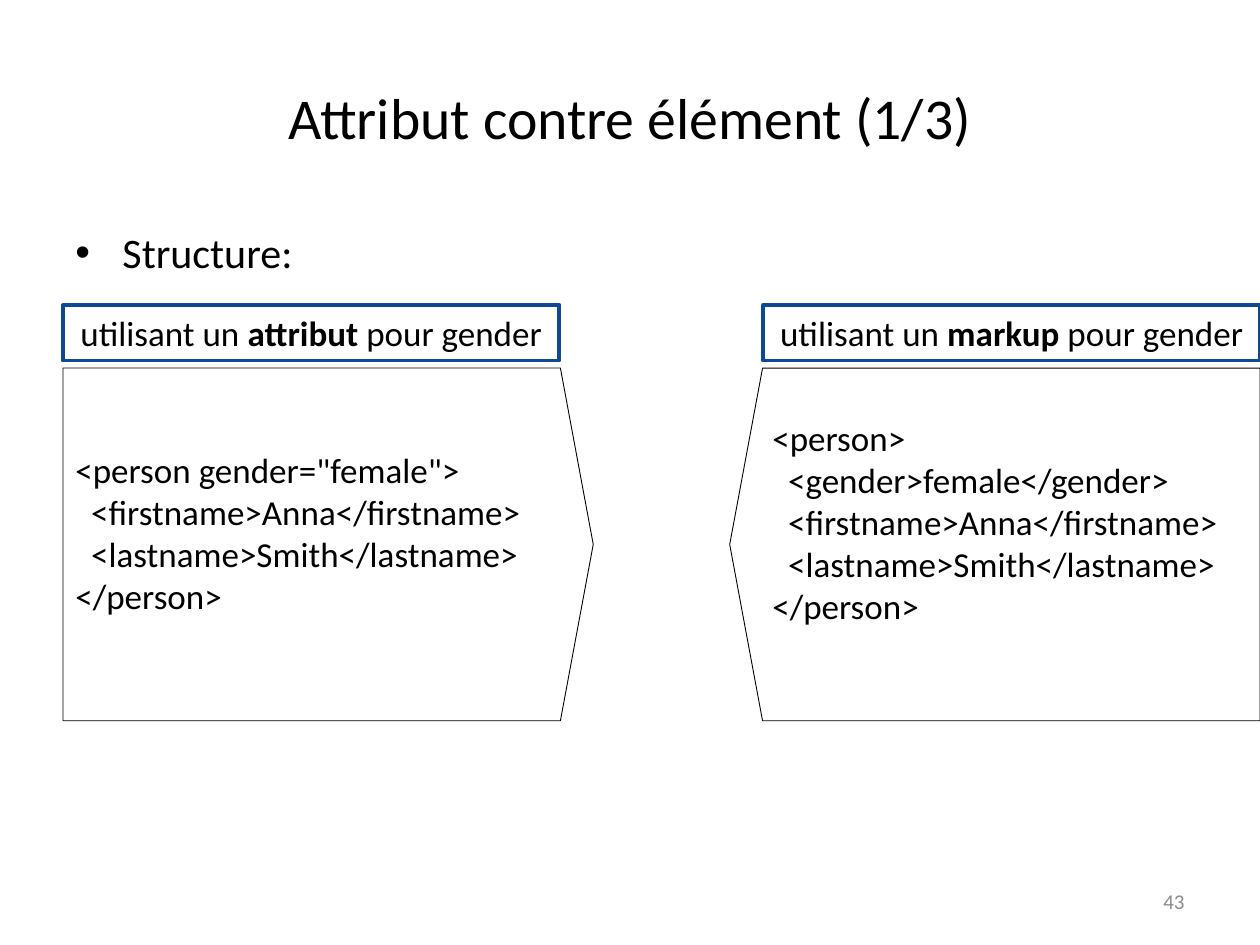
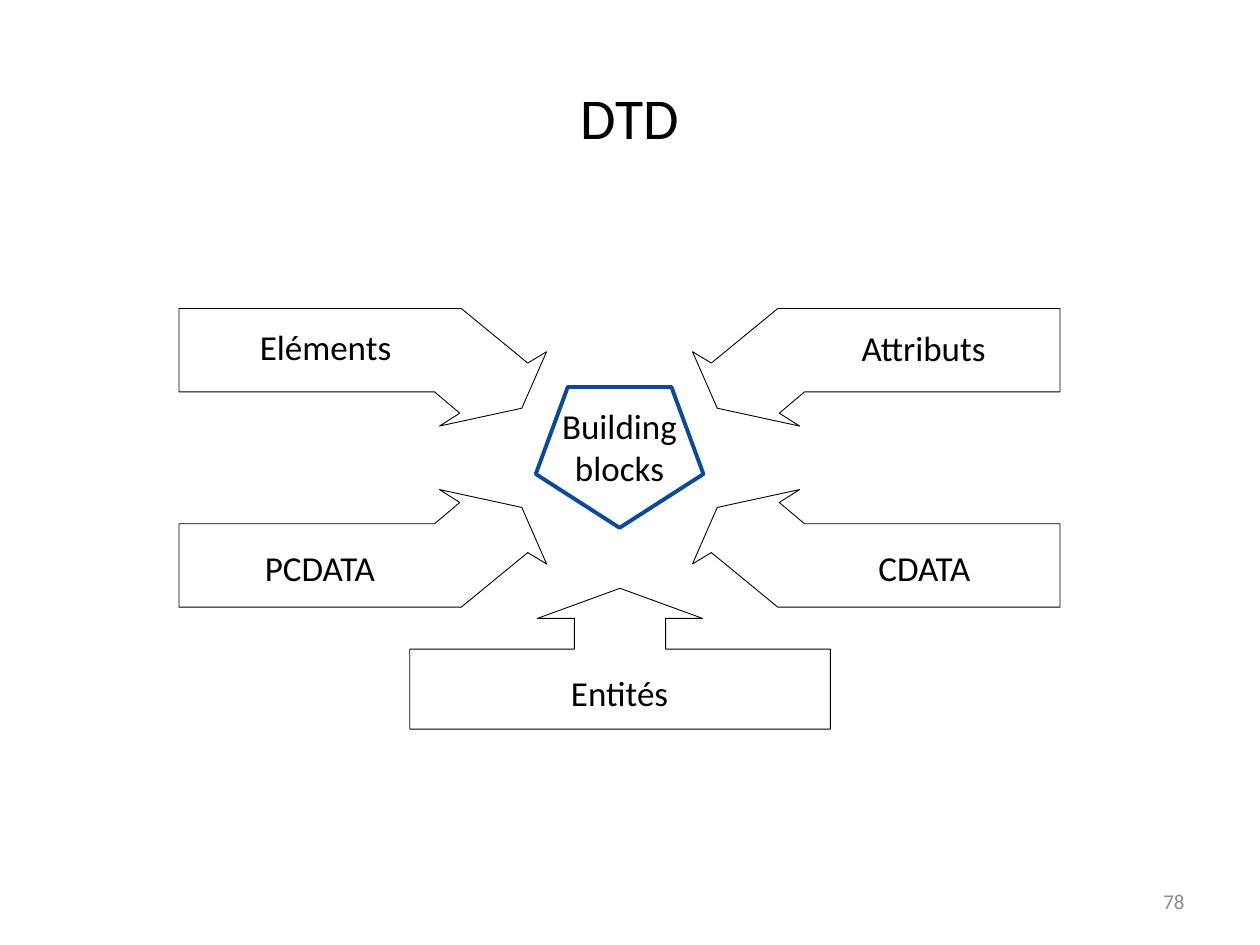
from dataclasses import dataclass, field

import pptx
import pptx.dml.color
import pptx.enum.shapes
import pptx.enum.text
import pptx.oxml
import pptx.oxml.ns
import pptx.shapes.autoshape
import pptx.slide
import pptx.util

Cm, Pt = pptx.util.Cm, pptx.util.Pt
MSO = pptx.enum.shapes.MSO_SHAPE
ALIGN = pptx.enum.text.PP_ALIGN
ANCHOR = pptx.enum.text.MSO_ANCHOR
AutoShape = pptx.shapes.autoshape.Shape
Slide = pptx.slide.Slide
Box = tuple[float, float, float, float]  # left, top, width, height in cm

# Shared look
BLACK, WHITE, BLUE, GREY = "000000", "FFFFFF", "0D4A96", "8C8C8C"
FONT = "Calibri"
THIN, THICK = 0.5, 2.25
SLIDE_W, SLIDE_H = 25.4, 19.05
MARGIN = 1.27


@dataclass
class TextStyle:
    size: float = 20
    color: str = BLACK
    align: int = ALIGN.CENTER
    anchor: int = ANCHOR.TOP


@dataclass
class Text:
    """Text in a box; stars around a word make it bold."""
    box: Box
    text: str
    style: TextStyle = field(default_factory=TextStyle)


@dataclass
class Outline:
    kind: int
    box: Box
    line: str = BLACK
    width: float = THIN
    fill: str | None = None
    rotation: float = 0
    adjustments: tuple[float, ...] = ()


TITLE = TextStyle(size=33, anchor=ANCHOR.MIDDLE)
BODY = TextStyle(size=24, align=ALIGN.LEFT)
CODE = TextStyle(align=ALIGN.LEFT)
NUMBER = TextStyle(size=12, color=GREY, align=ALIGN.RIGHT, anchor=ANCHOR.MIDDLE)


def rgb(color: str) -> pptx.dml.color.RGBColor:
    return pptx.dml.color.RGBColor.from_string(color)


def lengths(box: Box) -> list[int]:
    return [Cm(v) for v in box]


def write(sp: AutoShape, text: str, style: TextStyle) -> None:
    """Fill a shape with one paragraph, with line breaks at new lines."""
    tf = sp.text_frame
    tf.word_wrap = True
    tf.vertical_anchor = style.anchor
    p = tf.paragraphs[0]
    p.alignment = style.align
    for row, line in enumerate(text.split("\n")):
        if row:
            p.add_line_break()
        for i, part in enumerate(line.split("*")):
            r = p.add_run()
            r.text = part
            formats = {"name": FONT, "size": Pt(style.size), "bold": i % 2 == 1}
            for name, value in formats.items():
                setattr(r.font, name, value)
            r.font.color.rgb = rgb(style.color)


def add_text(s: Slide, item: Text) -> AutoShape:
    sp = s.shapes.add_textbox(*lengths(item.box))
    write(sp, item.text, item.style)
    return sp


def paint(sp: AutoShape, line: str, width: float, fill: str | None) -> None:
    sp.shadow.inherit = False
    sp.line.color.rgb = rgb(line)
    sp.line.width = Pt(width)
    if fill is None:
        sp.fill.background()
    else:
        sp.fill.solid()
        sp.fill.fore_color.rgb = rgb(fill)


def add_outline(s: Slide, item: Outline) -> AutoShape:
    sp = s.shapes.add_shape(item.kind, *lengths(item.box))
    paint(sp, item.line, item.width, item.fill)
    sp.rotation = item.rotation
    for i, value in enumerate(item.adjustments):
        sp.adjustments[i] = value
    return sp


def add_bullet(sp: AutoShape, char: str, indent: float) -> None:
    pPr = sp.text_frame.paragraphs[0]._p.get_or_add_pPr()
    pPr.set("marL", str(Cm(indent)))
    pPr.set("indent", str(-Cm(indent)))
    ns = pptx.oxml.ns.nsdecls("a")
    for xml in (f'<a:buFont {ns} typeface="Arial"/>', f'<a:buChar {ns} char="{char}"/>'):
        pPr.append(pptx.oxml.parse_xml(xml))


def new_slide(prs: pptx.presentation.Presentation, title: str, number: int) -> Slide:
    """Blank slide with the shared title and slide number."""
    s = prs.slides.add_slide(prs.slide_layouts[6])
    add_text(s, Text((MARGIN, 0.76, SLIDE_W - 2 * MARGIN, 3.18), title, TITLE))
    add_text(s, Text((18.21, 17.65, 5.92, 1.02), str(number), NUMBER))
    return s


# Slide 1: the same record written in two ways
PLATE_W, LABEL_W = 10.69, 10.01
ATTRIBUTE_CODE = """<person gender="female">
  <firstname>Anna</firstname>
  <lastname>Smith</lastname>
</person>"""
MARKUP_CODE = """<person>
  <gender>female</gender>
  <firstname>Anna</firstname>
  <lastname>Smith</lastname>
</person>"""


@dataclass
class Variant:
    word: str
    plate_left: float
    label_left: float
    rotation: float
    code: Text


VARIANTS = [
    Variant("attribut", MARGIN, MARGIN, 0,
            Text((MARGIN, 8.92, 10.46, 3.68), ATTRIBUTE_CODE, CODE)),
    Variant("markup", SLIDE_W - PLATE_W, SLIDE_W - LABEL_W, 180,
            Text((15.32, 8.28, 10.08, 4.52), MARKUP_CODE, CODE)),
]


def build_comparison(prs: pptx.presentation.Presentation) -> None:
    s = new_slide(prs, "Attribut contre élément (1/3)", 43)
    body = add_text(s, Text((MARGIN, 4.45, SLIDE_W - 2 * MARGIN, 12.57), "Structure:", BODY))
    add_bullet(body, "•", 0.95)
    for v in VARIANTS:
        add_outline(s, Outline(MSO.PENTAGON, (v.plate_left, 7.42, PLATE_W, 7.11),
                               rotation=v.rotation, adjustments=(0.093,)))
        label = add_outline(s, Outline(MSO.RECTANGLE, (v.label_left, 6.15, LABEL_W, 1.12),
                                       BLUE, THICK, WHITE))
        write(label, f"utilisant un *{v.word}* pour gender", TextStyle())
        add_text(s, v.code)


# Slide 2: five arrows around the building blocks
ARROW = [(3.61, 6.22), (9.3, 6.22), (10.64, 7.32), (11.02, 7.09), (10.52, 8.23),
         (8.86, 8.59), (9.27, 8.33), (8.76, 7.9), (3.61, 7.9)]
AXIS_X, AXIS_Y = 12.49, 9.23

BLOCK_LABELS = [
    Text((10.8, 8.03, 3.38, 1.96), "Building blocks"),
    Text((3.81, 6.43, 5.51, 1.12), "Eléments"),
    Text((16.08, 6.45, 5.08, 1.12), "Attributs"),
    Text((3.81, 10.9, 5.28, 1.12), "PCDATA"),
    Text((15.88, 10.9, 5.51, 1.12), "CDATA"),
    Text((8.26, 13.41, 8.46, 1.12), "Entités"),
]


def add_arrow(s: Slide, mirror_x: bool, mirror_y: bool) -> None:
    """Draw the bent arrow, mirrored about the centre axes."""
    points = [(Cm(2 * AXIS_X - x if mirror_x else x), Cm(2 * AXIS_Y - y if mirror_y else y))
              for x, y in ARROW]
    builder = s.shapes.build_freeform(*points[0])
    builder.add_line_segments(points[1:], close=True)
    paint(builder.convert_to_shape(), BLACK, THIN, WHITE)


def build_blocks(prs: pptx.presentation.Presentation) -> None:
    s = new_slide(prs, "DTD", 78)
    add_outline(s, Outline(MSO.UP_ARROW_CALLOUT, (8.26, 11.86, 8.48, 2.84),
                           adjustments=(0.647, 0.586, 0.214, 0.568)))
    add_outline(s, Outline(MSO.REGULAR_PENTAGON, (10.8, 7.8, 3.38, 2.84),
                           BLUE, THICK, rotation=180))
    for mirror_y in (True, False):
        for mirror_x in (False, True):
            add_arrow(s, mirror_x, mirror_y)
    for label in BLOCK_LABELS:
        add_text(s, label)


def main() -> None:
    prs = pptx.Presentation()
    prs.slide_width, prs.slide_height = Cm(SLIDE_W), Cm(SLIDE_H)
    build_comparison(prs)
    build_blocks(prs)
    prs.save("out.pptx")


if __name__ == "__main__":
    main()
